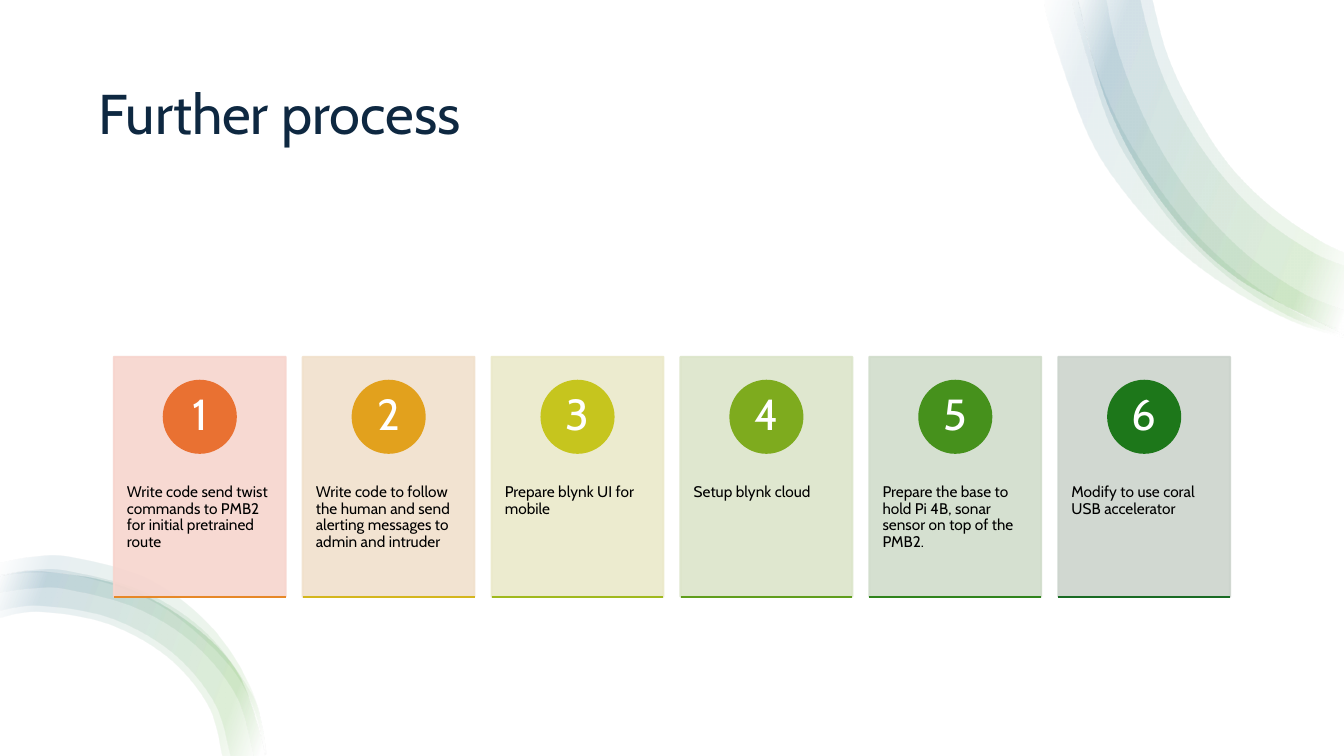
from lxml import etree
from pptx import Presentation, util as u
from pptx.dml.color import RGBColor
from pptx.enum import shapes, text
from pptx.oxml import parse_xml
from pptx.oxml.ns import nsdecls, qn

FONT = "Cabin"
SLIDE_W, SLIDE_H = 13.33, 7.5

# Text, circle colour, panel colour and rule colour of each step
STEPS = [
    ("Write code send twist commands to PMB2 for initial pretrained route",
     "E97132", "F7D5CE", "E68828"),
    ("Write code to follow the human and send alerting messages to admin and intruder",
     "E2A11D", "F1E1CC", "D4B61E"),
    ("Prepare blynk UI for mobile", "C6C51E", "EBE9CA", "A0B91E"),
    ("Setup blynk cloud", "7EAB1E", "DCE5CA", "609E1D"),
    ("Prepare the base to hold Pi 4B, sonar sensor on top of the PMB2.",
     "46911C", "D1DDCB", "2F841C"),
    ("Modify to use coral USB accelerator", "1D771A", "CCD4CD", "196B24"),
]

# Each swoosh band is an outer and an inner edge, given by the knots of a smooth curve
TOP_EDGE = [(13.33, 3.32), (12.24, 2.74), (11.52, 2), (11, 1.07), (10.67, -0.09)]
TOP_BANDS = [
    ([(13.33, 3.35), (12.82, 3.19), (12.21, 2.87), (11.65, 2.45), (11.16, 1.92),
      (10.78, 1.31), (10.41, 0.26), (10.36, -0.09)],
     [(10.68, -0.09), (10.82, 0.52), (11.06, 1.15), (11.4, 1.73), (11.81, 2.27),
      (12.3, 2.73), (12.86, 3.1), (13.33, 3.28)]),
    (TOP_EDGE,
     [(11.41, -0.09), (11.58, 0.55), (11.85, 1.12), (12.19, 1.64), (12.61, 2.06),
      (13.07, 2.38), (13.33, 2.51)]),
    ([(13.33, 3.33), (12.79, 3.14), (12.23, 2.79), (11.73, 2.33), (11.32, 1.79),
      (10.99, 1.19), (10.68, 0.2), (10.63, -0.09)],
     [(10.96, -0.09), (11.07, 0.44), (11.29, 1.04), (11.58, 1.6), (11.95, 2.11),
      (12.39, 2.55), (12.9, 2.9), (13.33, 3.08)]),
    (TOP_EDGE,
     [(11.29, -0.09), (11.47, 0.59), (11.74, 1.19), (12.1, 1.72), (12.53, 2.17),
      (13.01, 2.5), (13.33, 2.64)]),
]
BOTTOM_EDGE = [(2.63, 7.5), (2.36, 6.69), (1.85, 6.16), (1.17, 5.8), (0.4, 5.67), (0, 5.72)]
BOTTOM_BANDS = [
    (BOTTOM_EDGE,
     [(0, 6.13), (0.4, 6.07), (1.07, 6.19), (1.66, 6.52), (2.06, 7), (2.2, 7.5)]),
    (BOTTOM_EDGE,
     [(0, 6.06), (0.4, 6.01), (1.09, 6.13), (1.7, 6.47), (2.12, 6.97), (2.28, 7.5)]),
    ([(2.63, 7.5), (2.59, 7.19), (2.47, 6.85), (2.03, 6.27), (1.42, 5.87),
      (0.69, 5.67), (0.31, 5.66), (0, 5.71)],
     [(0, 5.88), (0.33, 5.84), (0.67, 5.85), (1.34, 6.03), (1.92, 6.39),
      (2.34, 6.91), (2.51, 7.5)]),
    ([(2.64, 7.5), (2.5, 6.87), (2.1, 6.23), (1.48, 5.75), (0.71, 5.53),
      (0.31, 5.53), (0, 5.59)],
     [(0, 5.72), (0.32, 5.68), (0.69, 5.7), (1.22, 5.84), (1.71, 6.09),
      (2.25, 6.58), (2.52, 7.05), (2.62, 7.5)]),
]
# Position and colour of the gradient stops
SWOOSH_STOPS = [(2, "FFFFFF"), (16, "4EA72E"), (85, "156082"), (100, "FFFFFF")]


def rgb(value):
    return RGBColor.from_string(value)


def inches(*values):
    return [u.Inches(v) for v in values]


def write(tf, words, size, color, align, margins, anchor):
    tf.word_wrap = True
    tf.auto_size = text.MSO_AUTO_SIZE.NONE
    tf.vertical_anchor = anchor
    tf.margin_left = tf.margin_right = u.Inches(margins[0])
    tf.margin_top = tf.margin_bottom = u.Inches(margins[1])
    p = tf.paragraphs[0]
    p.alignment = align
    p.line_spacing = 0.9
    r = p.add_run()
    r.text = words
    r.font.name = FONT
    r.font.size = u.Pt(size)
    r.font.color.rgb = rgb(color)


def add_solid(s, kind, box, color, opacity=100):
    sp = s.shapes.add_shape(kind, *inches(*box))
    sp.shadow.inherit = False
    sp.fill.solid()
    sp.fill.fore_color.rgb = rgb(color)
    sp.line.color.rgb = rgb(color)
    sp.line.width = u.Pt(1.5)
    if opacity < 100:
        for clr in sp._element.spPr.iter(qn("a:srgbClr")):
            etree.SubElement(clr, qn("a:alpha")).set("val", str(opacity * 1000))
    return sp


def add_background(s):
    sp = add_solid(s, shapes.MSO_SHAPE.RECTANGLE, (0, 0, SLIDE_W, SLIDE_H), "FFFFFF")
    sp.line.fill.background()
    s.shapes._spTree.insert(2, sp._element)


def round_edge(segments):
    """Turn the straight segments between an edge's knots into smooth curves."""
    knots = [tuple(int(pt.get(axis)) for axis in "xy")
             for seg in segments for pt in seg.iter(qn("a:pt"))]
    ends = [knots[0], *knots, knots[-1]]
    for seg, a, b, c, d in zip(segments[1:], ends, ends[1:], ends[2:], ends[3:]):
        controls = [[q + (r - p) / 6 for p, q, r in zip(a, b, c)],
                    [r - (v - q) / 6 for q, r, v in zip(b, c, d)], c]
        points = "".join(f'<a:pt x="{round(x)}" y="{round(y)}"/>' for x, y in controls)
        seg.getparent().replace(seg, parse_xml(
            f'<a:cubicBezTo {nsdecls("a")}>{points}</a:cubicBezTo>'))


def add_swoosh(s, bands):
    stops = "".join(
        f'<a:gs pos="{pos * 1000}"><a:srgbClr val="{color}"><a:alpha val="10000"/>'
        f'</a:srgbClr></a:gs>' for pos, color in SWOOSH_STOPS)
    for outer, inner in bands:
        # Freeform units are thousandths of an inch
        points = [(round(x * 1000), round(y * 1000)) for x, y in outer + inner]
        builder = s.shapes.build_freeform(*points[0], scale=u.Inches(1) / 1000)
        builder.add_line_segments(points[1:], close=True)
        sp = builder.convert_to_shape()
        sp.shadow.inherit = False
        sp.line.fill.background()
        spPr = sp._element.spPr
        segments = [*spPr.iter(qn("a:moveTo"), qn("a:lnTo"))]
        round_edge(segments[:len(outer)])
        round_edge(segments[len(outer):len(points)])
        # The fill follows the transform and the outline
        spPr.insert(2, parse_xml(
            f'<a:gradFill {nsdecls("a")}><a:gsLst>{stops}</a:gsLst>'
            f'<a:lin ang="{200 * 60000}" scaled="0"/></a:gradFill>'))


def add_title(s, words, box):
    title = s.shapes.title
    title.left, title.top, title.width, title.height = inches(*box)
    write(title.text_frame, words, 40, "0E2841", text.PP_ALIGN.LEFT, (0.1, 0.05),
          text.MSO_ANCHOR.MIDDLE)


def add_card(s, number, step, box):
    words, circle_color, panel_color, rule_color = step
    x, y, w, h = box
    # Panel and its text
    add_solid(s, shapes.MSO_SHAPE.RECTANGLE, box, panel_color, 90)
    body = s.shapes.add_textbox(*inches(x, y + 0.38 * h, w, 0.6 * h))
    write(body.text_frame, words, 11, "000000", text.PP_ALIGN.LEFT, (0.13, 0.36),
          text.MSO_ANCHOR.TOP)
    # Numbered circle
    d = 0.3 * h
    circle = add_solid(s, shapes.MSO_SHAPE.OVAL,
                       (x + (w - d) / 2, y + 0.1 * h, d, d), circle_color)
    write(circle.text_frame, str(number), 31, "FFFFFF", text.PP_ALIGN.CENTER, (0, 0),
          text.MSO_ANCHOR.MIDDLE)
    # Rule along the bottom edge
    rule = s.shapes.add_connector(shapes.MSO_CONNECTOR.STRAIGHT,
                                  *inches(x, y + h, x + w, y + h))
    rule.line.color.rgb = rgb(rule_color)
    rule.line.width = u.Pt(1.5)
    etree.SubElement(rule._element.spPr, qn("a:effectLst"))


def add_cards(s, box, gap):
    x, y, w, h = box
    card_w = (w - gap * (len(STEPS) - 1)) / len(STEPS)
    for i, step in enumerate(STEPS):
        add_card(s, i + 1, step, (x + i * (card_w + gap), y, card_w, h))


def main():
    prs = Presentation()
    prs.slide_width, prs.slide_height = inches(SLIDE_W, SLIDE_H)
    s = prs.slides.add_slide(prs.slide_layouts[5])
    add_background(s)
    add_title(s, "Further process", (0.88, 0.5, 11.57, 1.3))
    add_swoosh(s, TOP_BANDS)
    add_swoosh(s, BOTTOM_BANDS)
    add_cards(s, (1.13, 3.54, 11.07, 2.38), 0.17)
    prs.save("out.pptx")


if __name__ == "__main__":
    main()
